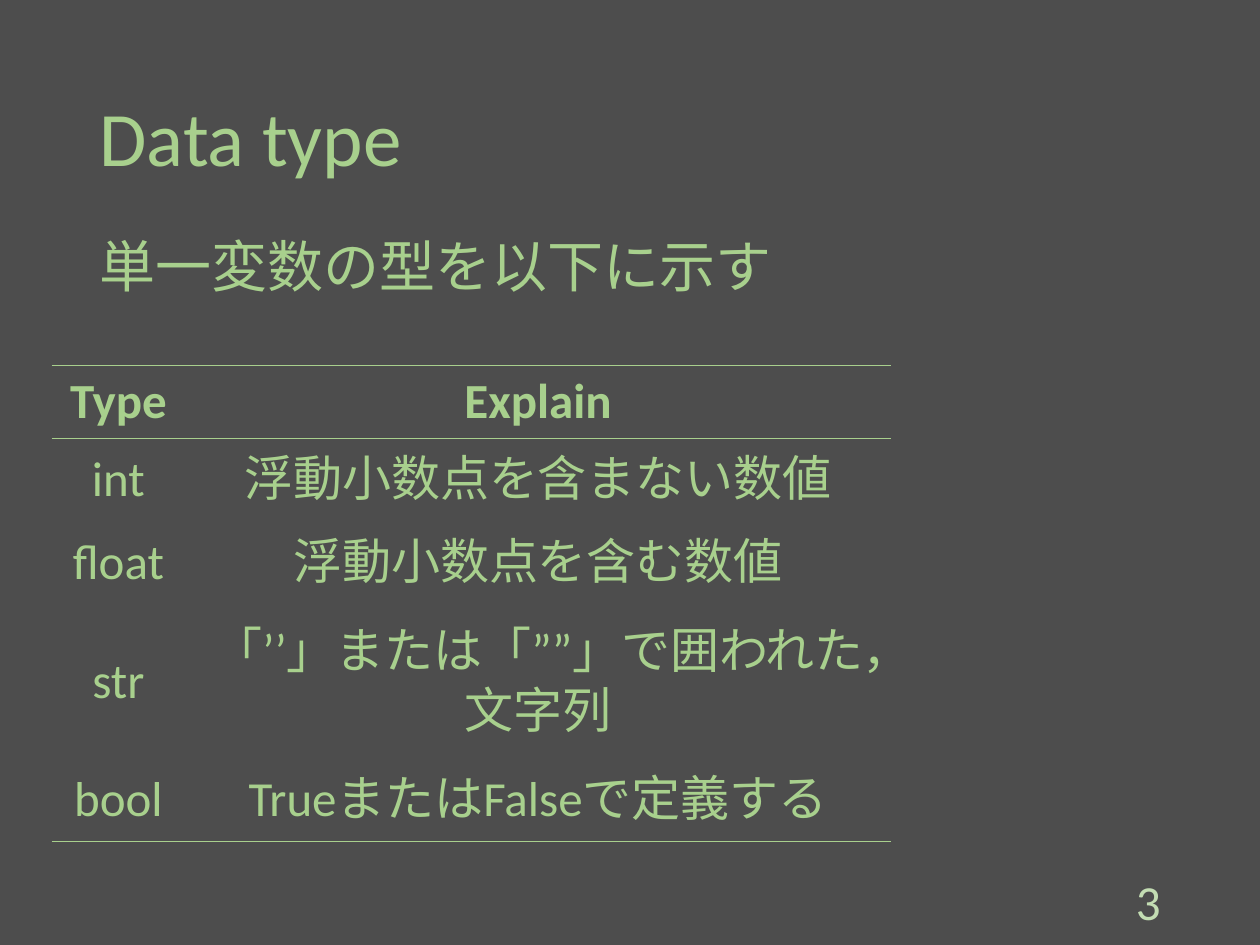
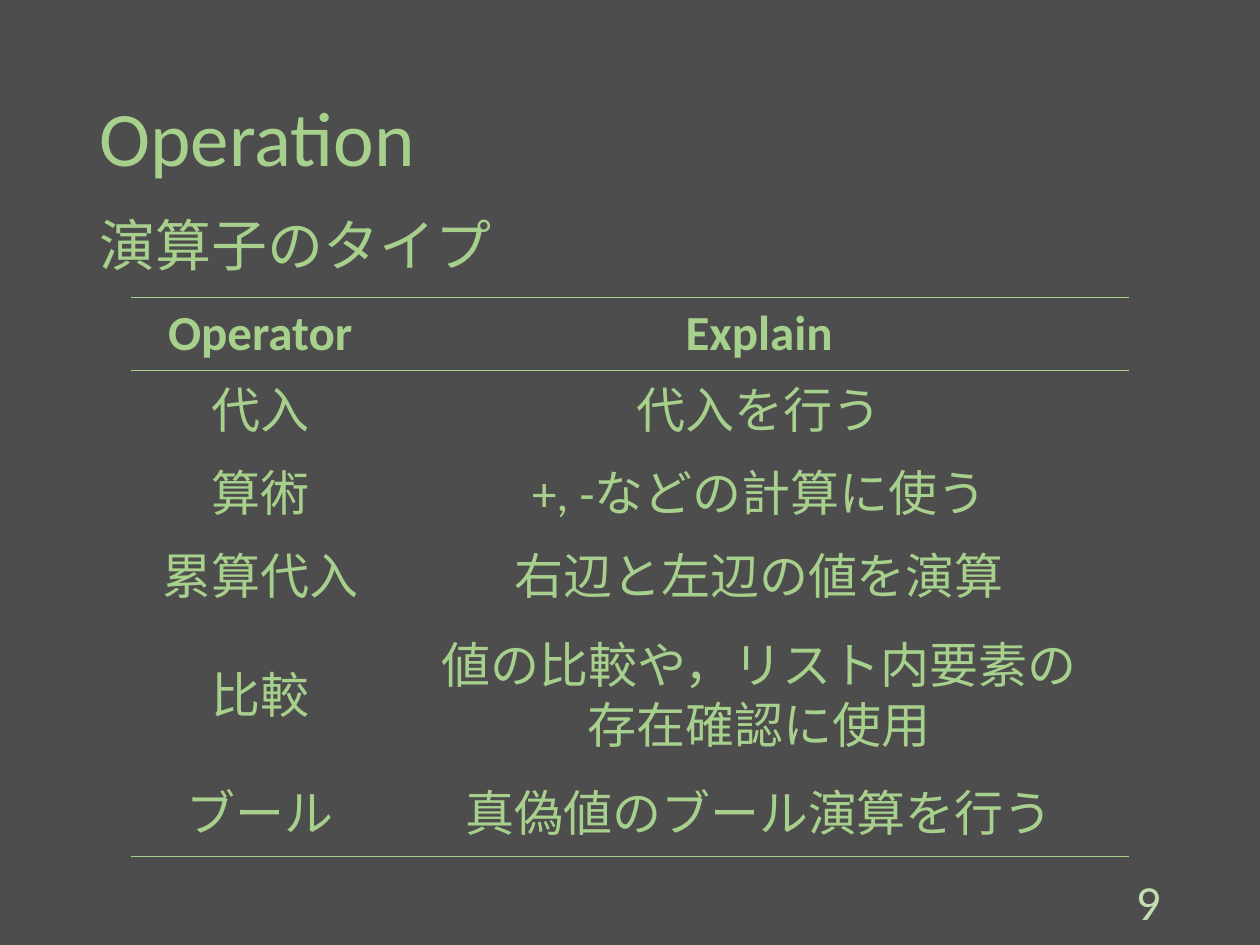
from dataclasses import dataclass

from lxml.etree import SubElement
from pptx import Presentation
from pptx.dml.color import RGBColor
from pptx.enum.text import MSO_ANCHOR, MSO_AUTO_SIZE, PP_ALIGN
from pptx.oxml.ns import qn
from pptx.presentation import Presentation as Deck
from pptx.slide import Slide
from pptx.table import _Cell
from pptx.text.text import TextFrame
from pptx.util import Inches, Pt


@dataclass(frozen=True)
class Theme:
    """Colours, font and type sizes shared by all slides."""
    background: str = "4D4D4D"
    text: str = "A8D08D"
    number: str = "C3DDB3"
    font: str = "Calibri"
    title_size: int = 44
    lead_size: int = 32
    table_size: int = 28
    rule_width: int = 1


@dataclass(frozen=True)
class Box:
    """A rectangle in inches."""
    left: float
    top: float
    width: float
    height: float

    def lengths(self) -> tuple:
        """Return left, top, width and height as lengths."""
        return tuple(Inches(v) for v in
                     (self.left, self.top, self.width, self.height))


@dataclass(frozen=True)
class TableSlide:
    """One slide: title, lead line, two-column table and page number."""
    title: str
    lead: str
    lead_box: Box
    table_left: float
    table_top: float
    columns: tuple
    rows: tuple
    tall_row: int  # the row whose text takes two lines
    number: str


THEME = Theme()
TITLE_BOX = Box(0.69, 0.4, 8.62, 1.45)
NUMBER_BOX = Box(7.06, 6.95, 2.25, 0.4)
HEADER_HEIGHT, ROW_HEIGHT, TALL_HEIGHT = 0.58, 0.66, 1.22
PLAIN_TABLE_STYLE = "{2D5ABB26-0587-4C30-8999-92F81FD0307C}"

SLIDES = (
    TableSlide(
        "Data type", "単一変数の型を以下に示す",
        Box(0.69, 1.85, 8.62, 0.84), 0.41, 2.9, (1.06, 5.6),
        (("Type", "Explain"),
         ("int", "浮動小数点を含まない数値"),
         ("float", "浮動小数点を含む数値"),
         ("str", "「’’」または「””」で囲われた，文字列"),
         ("bool", "TrueまたはFalseで定義する")),
        3, "3"),
    TableSlide(
        "Operation", "演算子のタイプ",
        Box(0.69, 1.68, 8.62, 0.77), 1.04, 2.36, (2.05, 5.87),
        (("Operator", "Explain"),
         ("代入", "代入を行う"),
         ("算術", "+, -などの計算に使う"),
         ("累算代入", "右辺と左辺の値を演算"),
         ("比較", "値の比較や，リスト内要素の\v存在確認に使用"),
         ("ブール", "真偽値のブール演算を行う")),
        4, "9"),
)


def write(tf: TextFrame, text: str, *, size: int, color: str = THEME.text,
          align: PP_ALIGN = PP_ALIGN.LEFT, bold: bool = False,
          line_spacing: float = 1.0, space_before: int = 0) -> None:
    """Fill a text frame with one formatted paragraph."""
    tf.word_wrap = True
    p = tf.paragraphs[0]
    p.text = text
    p.alignment = align
    p.line_spacing = line_spacing
    p.space_before = Pt(space_before)
    for r in p.runs:
        r.font.name = THEME.font
        r.font.size = Pt(size)
        r.font.bold = bold
        r.font.color.rgb = RGBColor.from_string(color)
        # East Asian font, which also sets the width of curly quotes
        SubElement(r.font._element, qn("a:ea"), typeface=THEME.font)


def add_title(s: Slide, text: str) -> None:
    """Place and format the title placeholder."""
    sp = s.shapes.title
    sp.left, sp.top, sp.width, sp.height = TITLE_BOX.lengths()
    tf = sp.text_frame
    tf.auto_size = MSO_AUTO_SIZE.NONE
    tf.vertical_anchor = MSO_ANCHOR.MIDDLE
    write(tf, text, size=THEME.title_size, line_spacing=0.9)


def add_text(s: Slide, box: Box, text: str, *,
             anchor: MSO_ANCHOR = MSO_ANCHOR.TOP, **style) -> None:
    """Add a text box with one paragraph."""
    tf = s.shapes.add_textbox(*box.lengths()).text_frame
    tf.vertical_anchor = anchor
    write(tf, text, **style)


def add_rule(cell: _Cell, side: str) -> None:
    """Draw a cell border; side is lnT or lnB, top before bottom."""
    ln = SubElement(cell._tc.get_or_add_tcPr(), qn(f"a:{side}"),
                    w=str(Pt(THEME.rule_width)))
    fill = SubElement(ln, qn("a:solidFill"))
    SubElement(fill, qn("a:srgbClr"), val=THEME.text)


def add_ruled_table(s: Slide, item: TableSlide) -> None:
    """Add a table ruled around its header and below its last row."""
    last = len(item.rows) - 1
    heights = [HEADER_HEIGHT] + [ROW_HEIGHT] * last
    heights[item.tall_row] = TALL_HEIGHT
    box = Box(item.table_left, item.table_top, sum(item.columns), sum(heights))
    table = s.shapes.add_table(len(item.rows), len(item.columns),
                               *box.lengths()).table
    table.first_row = table.horz_banding = False
    table._tbl.tblPr.find(qn("a:tableStyleId")).text = PLAIN_TABLE_STYLE
    for column, width in zip(table.columns, item.columns):
        column.width = Inches(width)
    for i, (row, texts) in enumerate(zip(table.rows, item.rows)):
        row.height = Inches(heights[i])
        for cell, text in zip(row.cells, texts):
            cell.vertical_anchor = MSO_ANCHOR.MIDDLE
            write(cell.text_frame, text, size=THEME.table_size,
                  align=PP_ALIGN.CENTER, bold=i == 0)
            if i == 0:
                add_rule(cell, "lnT")
            if i in (0, last):
                add_rule(cell, "lnB")
            cell.fill.background()


def add_slide(prs: Deck, item: TableSlide) -> None:
    """Build one slide from its description."""
    s = prs.slides.add_slide(prs.slide_layouts.get_by_name("Title Only"))
    add_title(s, item.title)
    add_text(s, item.lead_box, item.lead, size=THEME.lead_size,
             line_spacing=0.9, space_before=10)
    add_ruled_table(s, item)
    add_text(s, NUMBER_BOX, item.number, size=THEME.table_size,
             color=THEME.number, align=PP_ALIGN.RIGHT,
             anchor=MSO_ANCHOR.MIDDLE)


def main() -> None:
    """Build and save the presentation."""
    prs = Presentation()
    prs.slide_width, prs.slide_height = Inches(10), Inches(7.5)
    fill = prs.slide_master.background.fill
    fill.solid()
    fill.fore_color.rgb = RGBColor.from_string(THEME.background)
    for item in SLIDES:
        add_slide(prs, item)
    prs.save("out.pptx")


main()
